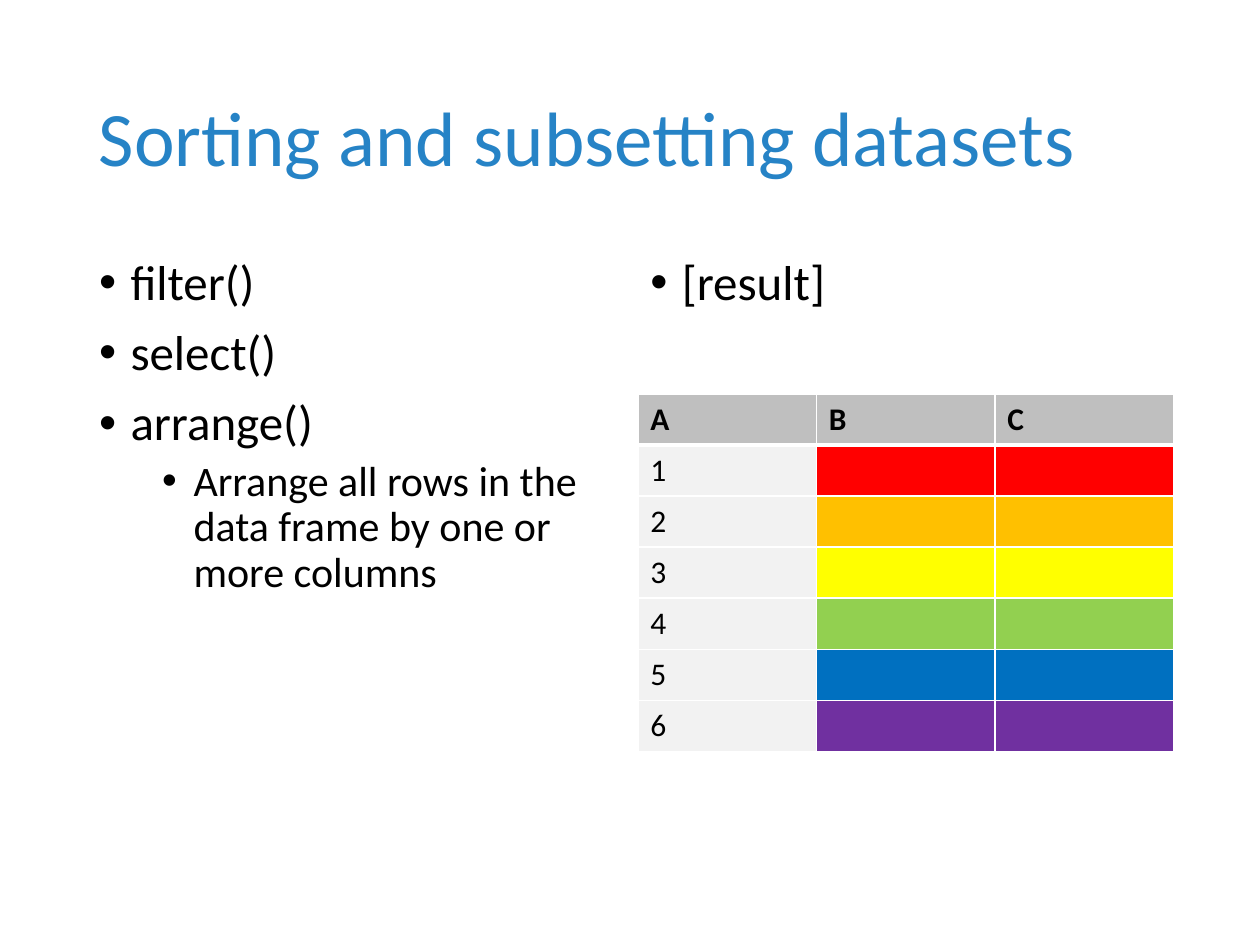
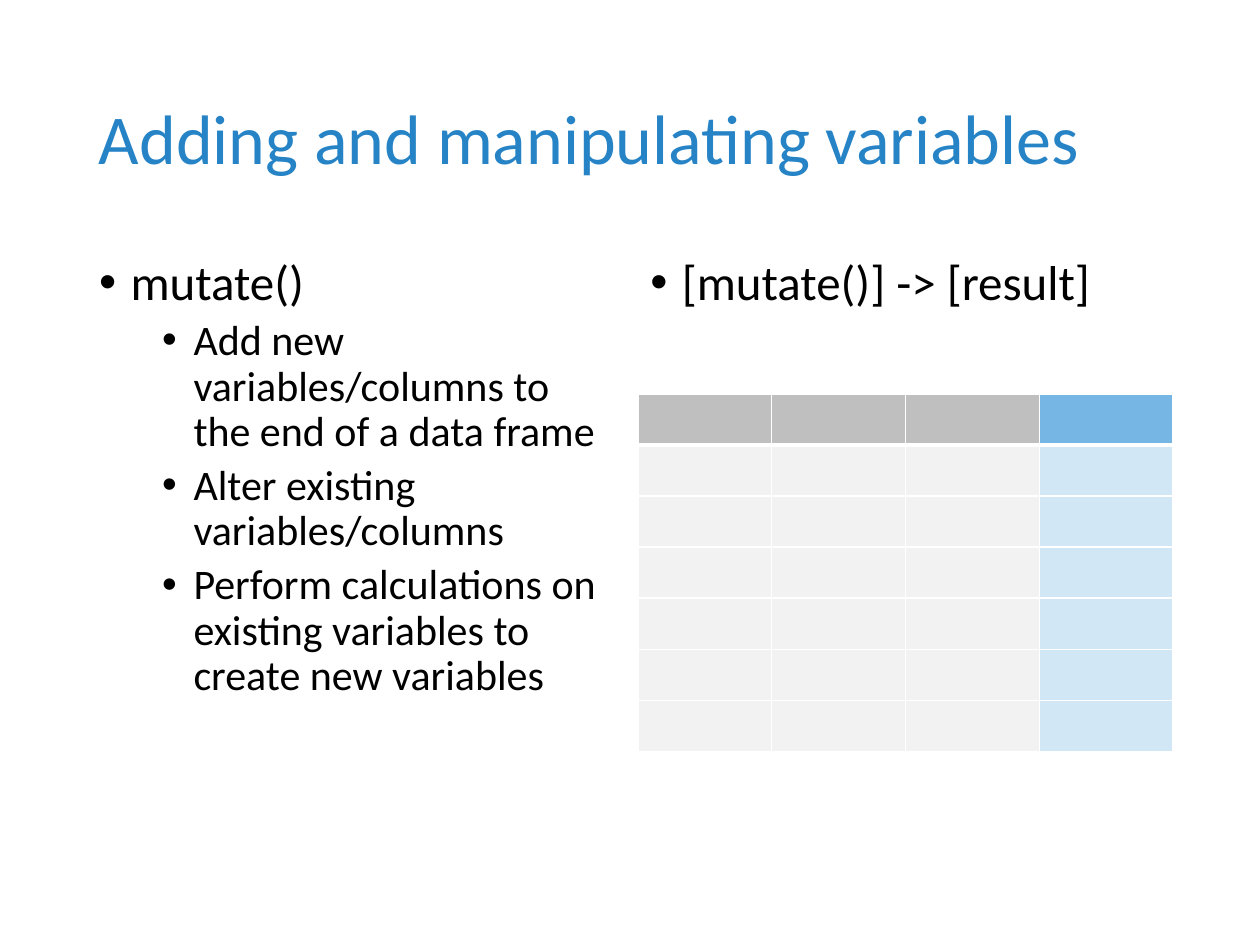
from lxml.etree import SubElement
from pptx import Presentation
from pptx.dml.color import RGBColor
from pptx.enum.text import MSO_ANCHOR
from pptx.oxml.ns import qn
from pptx.util import Pt

FONT = "Calibri"
BLACK = RGBColor(0x00, 0x00, 0x00)
WHITE = RGBColor(0xFF, 0xFF, 0xFF)
TITLE_BLUE = RGBColor(0x26, 0x83, 0xC6)
HEADER_GRAY = RGBColor(0xBF, 0xBF, 0xBF)
BODY_GRAY = RGBColor(0xF2, 0xF2, 0xF2)
HEADER_BLUE = RGBColor(0x75, 0xB6, 0xE5)
BODY_BLUE = RGBColor(0xD1, 0xE7, 0xF6)
RED = RGBColor(0xFF, 0x00, 0x00)
ORANGE = RGBColor(0xFF, 0xC0, 0x00)
YELLOW = RGBColor(0xFF, 0xFF, 0x00)
GREEN = RGBColor(0x92, 0xD0, 0x50)
BLUE = RGBColor(0x00, 0x70, 0xC0)
PURPLE = RGBColor(0x70, 0x30, 0xA0)

LEFT, RIGHT = 49.5, 364.5
COLUMN_WIDTH = 306
TABLE_TOP = 225
ROW_HEIGHT = 29.2
LEVELS = [(18, 28, 10), (54, 24, 5)]

PAGES = [
    {
        "title": "Sorting and subsetting datasets",
        "title_size": 44,
        "left": [
            (0, "filter()"),
            (0, "select()"),
            (0, "arrange()"),
            (1, "Arrange all rows in the data frame by one or more columns"),
        ],
        "right": [(0, "[result]")],
        "labels": [["A", "B", "C"]] + [[str(number), "", ""] for number in range(1, 7)],
        "fills": [[HEADER_GRAY] * 3]
        + [[BODY_GRAY, color, color] for color in (RED, ORANGE, YELLOW, GREEN, BLUE, PURPLE)],
    },
    {
        "title": "Adding and manipulating variables",
        "title_size": 40,
        "left": [
            (0, "mutate()"),
            (1, "Add new variables/columns to the end of a data frame"),
            (1, "Alter existing variables/columns"),
            (1, "Perform calculations on existing variables to create new variables"),
        ],
        "right": [(0, "[mutate()] -> [result]")],
        "labels": [[""] * 4] * 7,
        "fills": [[HEADER_GRAY] * 3 + [HEADER_BLUE]] + [[BODY_GRAY] * 3 + [BODY_BLUE]] * 6,
    },
]


def add_text(page, left, top, width, height, items, size=None, color=BLACK):
    box = page.shapes.add_textbox(Pt(left), Pt(top), Pt(width), Pt(height))
    frame = box.text_frame
    frame.word_wrap = True
    for index, (level, text) in enumerate(items):
        para = frame.paragraphs[0] if index == 0 else frame.add_paragraph()
        para.text = text
        para.line_spacing = 0.9
        indent, level_size, space_before = LEVELS[level]
        if size is None:
            para.level = level
            if index > 0:
                para.space_before = Pt(space_before)
            properties = para._p.get_or_add_pPr()
            properties.set("marL", str(Pt(indent)))
            properties.set("indent", str(Pt(-18)))
            SubElement(properties, qn("a:buFont"), typeface="Arial")
            SubElement(properties, qn("a:buChar"), char="•")
        para.font.name = FONT
        para.font.size = Pt(size or level_size)
        para.font.color.rgb = color
    return frame


def add_borders(cell, row):
    properties = cell._tc.get_or_add_tcPr()
    widths = {"L": 1, "R": 1, "T": 3 if row == 1 else 1, "B": 3 if row == 0 else 1}
    for side, width in widths.items():
        line = SubElement(properties, qn(f"a:ln{side}"), w=str(Pt(width)))
        fill = SubElement(line, qn("a:solidFill"))
        SubElement(fill, qn("a:srgbClr"), val=str(WHITE))


deck = Presentation()
deck.slide_width, deck.slide_height = Pt(720), Pt(540)

for content in PAGES:
    page = deck.slides.add_slide(deck.slide_layouts[6])
    page.background.fill.solid()
    page.background.fill.fore_color.rgb = WHITE

    title = add_text(page, LEFT, 28.75, 621, 104.4, [(0, content["title"])],
                     content["title_size"], TITLE_BLUE)
    title.vertical_anchor = MSO_ANCHOR.MIDDLE
    for left, side in ((LEFT, "left"), (RIGHT, "right")):
        add_text(page, left, 143.75, COLUMN_WIDTH, 342.6, content[side])

    labels, fills = content["labels"], content["fills"]
    row_count, column_count = len(fills), len(fills[0])
    table = page.shapes.add_table(row_count, column_count, Pt(RIGHT), Pt(TABLE_TOP),
                                  Pt(COLUMN_WIDTH), Pt(ROW_HEIGHT * row_count)).table
    for column in table.columns:
        column.width = Pt(COLUMN_WIDTH / column_count)
    for row_index, row in enumerate(table.rows):
        row.height = Pt(ROW_HEIGHT)
        for column_index, cell in enumerate(row.cells):
            add_borders(cell, row_index)
            cell.fill.solid()
            cell.fill.fore_color.rgb = fills[row_index][column_index]
            para = cell.text_frame.paragraphs[0]
            para.text = labels[row_index][column_index]
            para.font.name = FONT
            para.font.size = Pt(18)
            para.font.bold = row_index == 0
            para.font.color.rgb = BLACK

deck.save("out.pptx")
